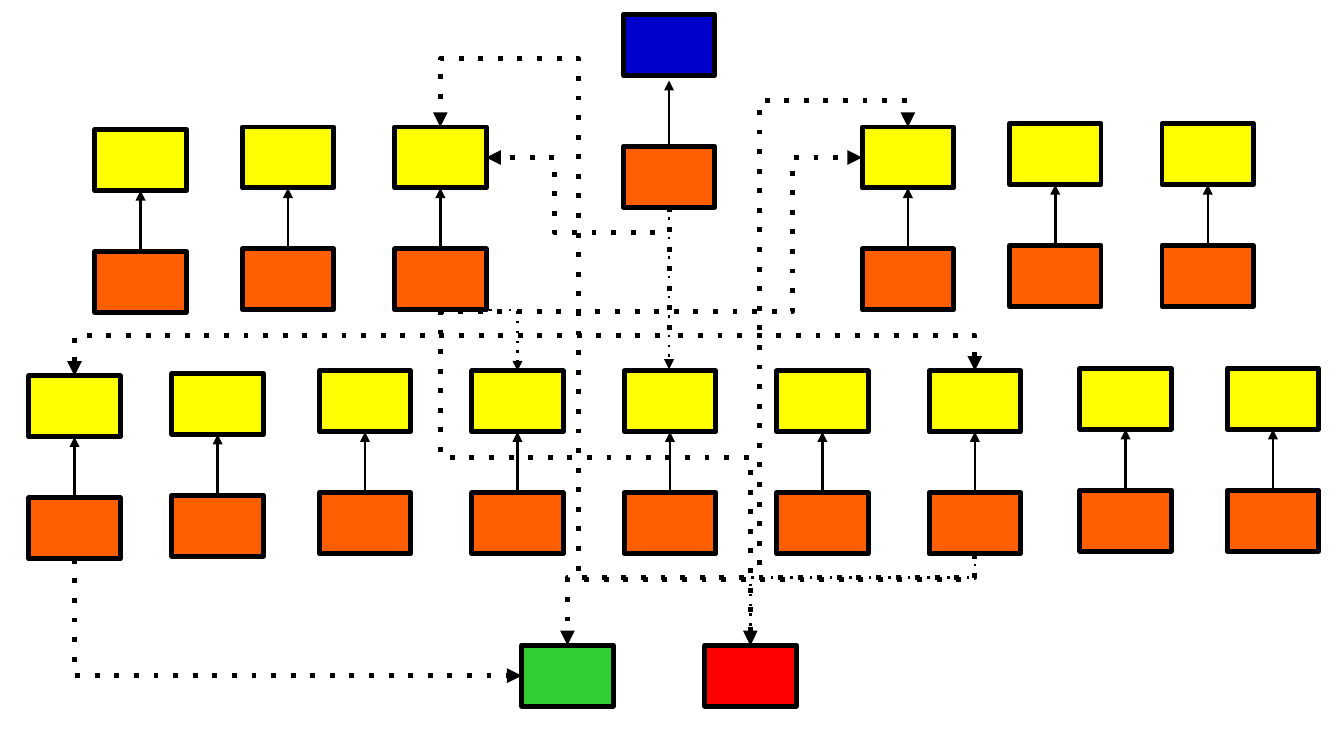
from dataclasses import dataclass

from lxml.etree import SubElement
from pptx import Presentation
from pptx.dml.color import RGBColor
from pptx.enum.shapes import MSO_CONNECTOR, MSO_SHAPE
from pptx.oxml.ns import qn
from pptx.util import Pt


@dataclass(frozen=True)
class Theme:
    ink: str = "000000"
    root: str = "0000CD"
    role: str = "FFFF00"
    holder: str = "FF5F00"
    goal: str = "32CD32"
    alert: str = "FF0000"
    thick: float = 2.89
    thin: float = 1.45


BOX_WIDTH, BOX_HEIGHT = 54, 36
PAIR_STEP = 72
LEAD_X, GOAL_X, ALERT_X = 395, 335, 443
END_TOP = 381

UPPER_PAIRS = [(83, 76.5), (170, 75), (260, 75), (536, 75), (623, 73), (713, 73)]
LOWER_PAIRS = [
    (44, 222), (128.5, 220.5),
    *[(215.5 + 90 * column, 219) for column in range(5)],
    (664.5, 217.5), (751.5, 217.5),
]

THICK_ROUTES = [
    ((395, 122.5), (575.5, 219), [198]),
    ((395, 122.5), (287, 93), [137.5, 327.5]),
    ((395, 122.5), (44, 222), [198]),
    ((575.5, 327), (335, 381), [341]),
    ((575.5, 327), (536, 75), [342, 448.5, 59]),
    ((575.5, 327), (260, 75), [342, 341.5, 34.5]),
    ((260, 183), (443, 381), [270]),
    ((260, 183), (509, 93), [184, 468]),
    ((44, 330), (308, 399), []),
]


class Chart:
    def __init__(self, page, theme):
        self.page = page
        self.theme = theme

    def box(self, center, top, color):
        box = self.page.shapes.add_shape(
            MSO_SHAPE.RECTANGLE, Pt(center - BOX_WIDTH / 2), Pt(top), Pt(BOX_WIDTH), Pt(BOX_HEIGHT)
        )
        box.shadow.inherit = False
        box.fill.solid()
        box.fill.fore_color.rgb = RGBColor.from_string(color)
        box.line.color.rgb = RGBColor.from_string(self.theme.ink)
        box.line.width = Pt(self.theme.thick)

    def arrow(self, start, end, width, kind=MSO_CONNECTOR.STRAIGHT, dotted=False):
        arrow = self.page.shapes.add_connector(kind, *map(Pt, (*start, *end)))
        arrow.line.color.rgb = RGBColor.from_string(self.theme.ink)
        arrow.line.width = Pt(width)
        properties = arrow.element.spPr
        line = properties.find(qn("a:ln"))
        if dotted:
            SubElement(line, qn("a:prstDash"), val="dot")
        SubElement(line, qn("a:tailEnd"), type="triangle")
        SubElement(properties, qn("a:effectLst"))
        return properties

    def route(self, start, end, turns, width, sideways=False):
        begin, finish = start, end
        if not sideways:
            middle_x, middle_y = (start[0] + end[0]) / 2, (start[1] + end[1]) / 2
            along, across = (end[1] - start[1]) / 2, (start[0] - end[0]) / 2
            begin = (middle_x - along, middle_y - across)
            finish = (middle_x + along, middle_y + across)
        properties = self.arrow(begin, finish, width, MSO_CONNECTOR.ELBOW, dotted=True)
        if not sideways:
            properties.find(qn("a:xfrm")).set("rot", "5400000")
        geometry = properties.find(qn("a:prstGeom"))
        geometry.set("prst", f"bentConnector{len(turns) + 2}")
        guides = geometry.find(qn("a:avLst"))
        for index, turn in enumerate(turns):
            axis = (index + 1) % 2
            share = (turn - start[axis]) / (end[axis] - start[axis])
            SubElement(guides, qn("a:gd"), name=f"adj{index + 1}", fmla=f"val {round(share * 100000)}")

    def pair(self, center, top, color, step=PAIR_STEP, gap=0):
        self.box(center, top, color)
        self.box(center, top + step, self.theme.holder)
        self.arrow((center, top + step), (center, top + BOX_HEIGHT + gap), self.theme.thin)


def main():
    deck = Presentation()
    deck.slide_width, deck.slide_height = Pt(793.44), Pt(446.4)
    theme = Theme()
    chart = Chart(deck.slides.add_slide(deck.slide_layouts[6]), theme)

    chart.pair(LEAD_X, 8.5, theme.root, step=78, gap=3)
    for center, top in UPPER_PAIRS + LOWER_PAIRS:
        chart.pair(center, top, theme.role)
    chart.box(ALERT_X, END_TOP, theme.alert)
    chart.box(GOAL_X, END_TOP, theme.goal)

    for start, end, turns in THICK_ROUTES:
        chart.route(start, end, turns, theme.thick)
    chart.route((575.5, 327), (443, 381), [341], theme.thin)
    chart.route((260, 183), (305.5, 219), [], theme.thin, sideways=True)
    chart.arrow((LEAD_X, 122.5), (LEAD_X, 218), theme.thin, dotted=True)
    deck.save("out.pptx")


if __name__ == "__main__":
    main()
